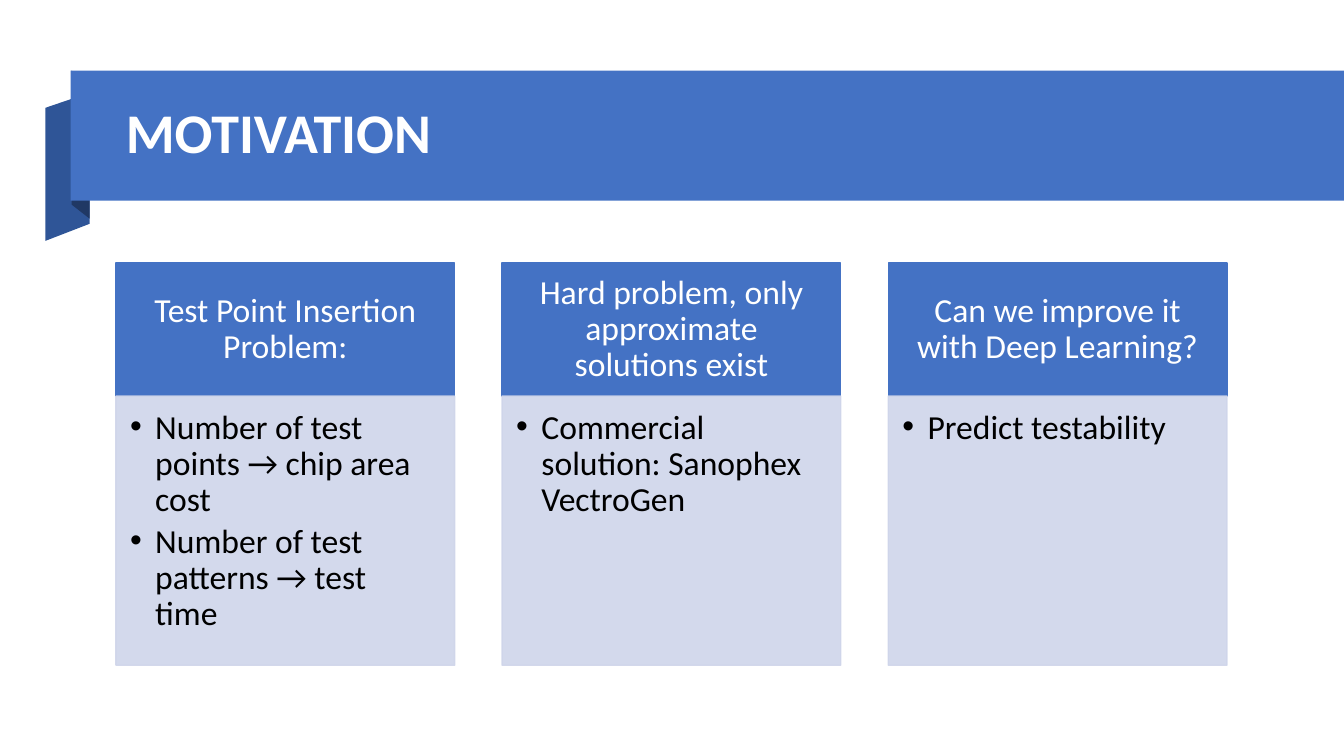
from pptx import Presentation
from pptx.dml.color import RGBColor
from pptx.enum.shapes import MSO_SHAPE as Shape
from pptx.enum.text import MSO_ANCHOR as Anchor, PP_ALIGN as Align
from pptx.oxml.ns import qn
from pptx.util import Pt
from lxml.etree import SubElement

PX = 9144
BLUE = RGBColor(0x44, 0x72, 0xC4)
FOLD = RGBColor(0x2F, 0x55, 0x97)
NAVY = RGBColor(0x20, 0x38, 0x64)
PALE = RGBColor(0xCF, 0xD5, 0xEA)
WHITE = RGBColor(0xFF, 0xFF, 0xFF)
BLACK = RGBColor(0x00, 0x00, 0x00)

COLUMNS = [
    ("Test Point Insertion Problem:",
     ["Number of test points → chip area cost",
      "Number of test patterns → test time"]),
    ("Hard problem, only approximate solutions exist",
     ["Commercial solution: Sanophex VectroGen"]),
    ("Can we improve it with Deep Learning?",
     ["Predict testability"]),
]


def write_text(shape, lines, size=24, color=BLACK, bold=False, align=Align.LEFT,
               anchor=Anchor.TOP, insets=(10, 5, 10, 5), bullet=None, after=0):
    """Fill a shape with one formatted paragraph per line."""
    frame = shape.text_frame
    frame.word_wrap = True
    frame.vertical_anchor = anchor
    (frame.margin_left, frame.margin_top,
     frame.margin_right, frame.margin_bottom) = [inset * PX for inset in insets]
    for index, line in enumerate(lines):
        para = frame.add_paragraph() if index else frame.paragraphs[0]
        para.alignment = align
        para.line_spacing = 0.9
        para.space_after = Pt(after)
        if bullet:
            para.level = 1
            props = para._p.get_or_add_pPr()
            props.set("marL", str(25 * PX))
            props.set("indent", str(-25 * PX))
            SubElement(props, qn("a:buFont"), typeface="Arial")
            SubElement(props, qn("a:buChar"), char=bullet)
        span = para.add_run()
        span.text = line
        span.font.name = "Calibri"
        span.font.size = Pt(size)
        span.font.bold = bold
        span.font.color.rgb = color


def paint(shape, color, outlined=False, opacity=100):
    """Give a shape a flat fill, with an optional line of the same color."""
    shape.shadow.inherit = False
    shape.fill.solid()
    shape.fill.fore_color.rgb = color
    if outlined:
        shape.line.color.rgb = color
        shape.line.width = Pt(1)
    else:
        shape.line.fill.background()
    if opacity < 100:
        for tint in shape._element.spPr.iter(qn("a:srgbClr")):
            SubElement(tint, qn("a:alpha"), val=str(opacity * 1000))


def add_panel(page, left, top, width, height, color, **style):
    """Add a painted rectangle."""
    panel = page.shapes.add_shape(
        Shape.RECTANGLE, left * PX, top * PX, width * PX, height * PX)
    paint(panel, color, **style)
    return panel


def add_fold(page, points, color):
    """Add a painted polygon of the ribbon."""
    builder = page.shapes.build_freeform(*points[0], scale=PX)
    builder.add_line_segments(points[1:], close=True)
    paint(builder.convert_to_shape(), color)


def add_banner(page, left, top, width, height, title):
    """Add the folded title ribbon."""
    back, front = left - 25, left + 19
    add_fold(page, [(front, top + 152), (back, top + 169),
                    (back, top + 37), (front, top + 22)], FOLD)
    add_fold(page, [(front, top + 147), (left + 1, top + 133),
                    (left + 1, top), (front, top + 15)], NAVY)
    add_panel(page, left, top, width, height, BLUE)
    box = page.shapes.add_textbox(
        (left + 45) * PX, (top + 16) * PX, 1127 * PX, 96 * PX)
    write_text(box, [title], size=40, color=WHITE, bold=True, anchor=Anchor.MIDDLE)


def add_column(page, left, top, width, height, heading, points):
    """Add a heading panel above a panel of bullets."""
    head = 132
    header = add_panel(page, left, top, width, head, BLUE, outlined=True)
    write_text(header, [heading], color=WHITE, align=Align.CENTER,
               anchor=Anchor.MIDDLE, insets=(19, 11, 19, 11))
    body = add_panel(page, left, top + head, width, height - head, PALE,
                     outlined=True, opacity=90)
    write_text(body, points, insets=(14, 14, 19, 21), bullet="•", after=3.6)


def main():
    """Build and save the deck."""
    deck = Presentation()
    deck.slide_width, deck.slide_height = 1333 * PX, 750 * PX
    page = deck.slides.add_slide(deck.slide_layouts[6])
    add_banner(page, 70, 70, 1263, 129, "MOTIVATION")
    left, width, gap = 115, 336, 47
    for index, (heading, points) in enumerate(COLUMNS):
        add_column(page, left + index * (width + gap), 261, width, 399,
                   heading, points)
    deck.save("out.pptx")


if __name__ == "__main__":
    main()
